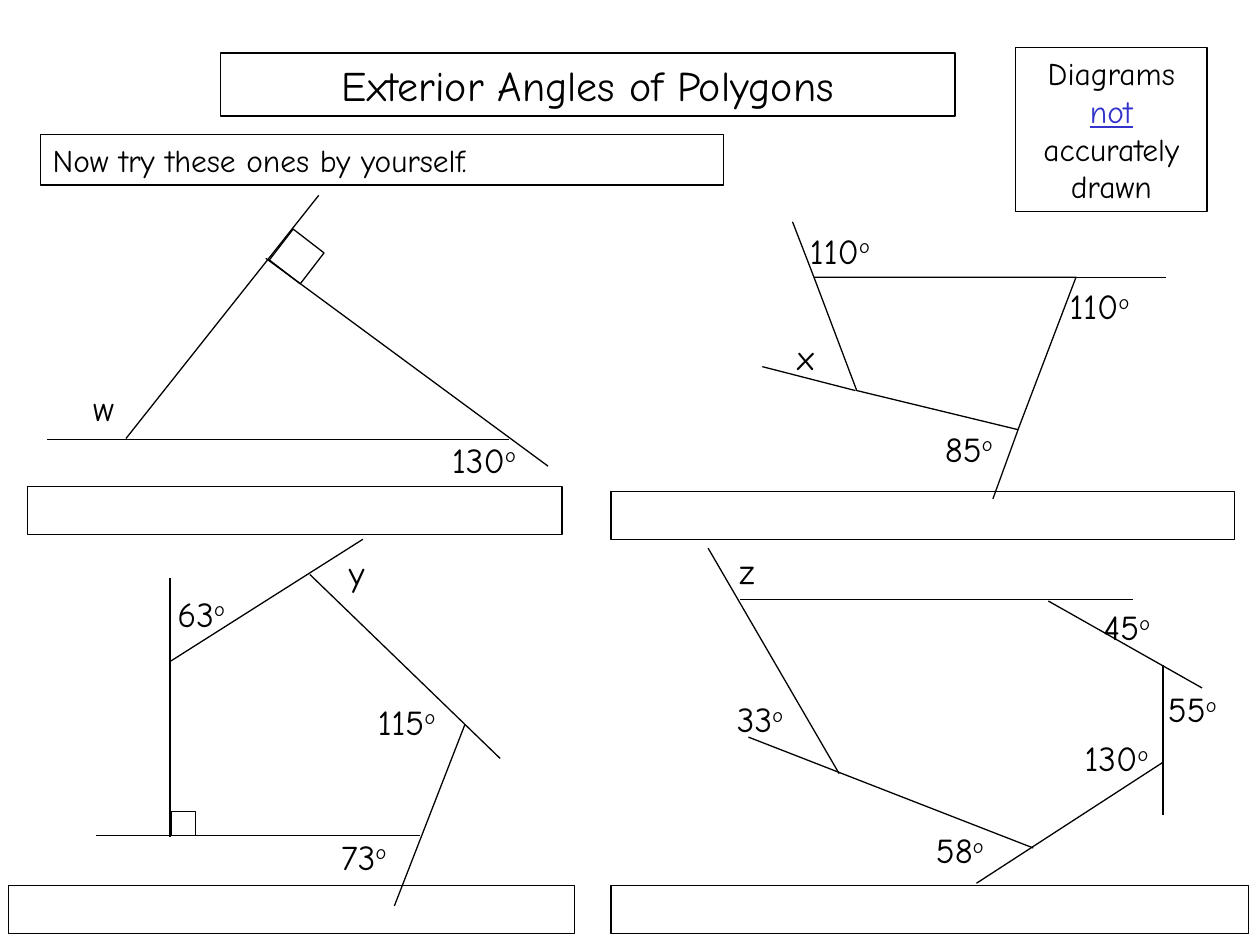
from lxml import etree
from pptx import Presentation, util as u
from pptx.dml.color import RGBColor
from pptx.enum import shapes, text
from pptx.oxml.ns import qn

COLOURS = {"ink": "000000", "stress": "3333CC"}
FONT = "Comic Neue"
CELL = u.Inches(0.1)  # the slide is a grid of 100 columns and 75 rows

deck = Presentation()
deck.slide_width, deck.slide_height = 100 * CELL, 75 * CELL
slide = deck.slides.add_slide(deck.slide_layouts[5])


def outline(shape):
    """Give a thin ink edge; closed shapes stay hollow and unshadowed."""
    shape.line.color.rgb = RGBColor.from_string(COLOURS["ink"])
    shape.line.width = u.Pt(0.75)
    if shape.shape_type != shapes.MSO_SHAPE_TYPE.LINE:
        shape.fill.background()
        shape.shadow.inherit = False


def write(shape, size, align, runs):
    """Fill a shape with (words, colour, superscript) runs."""
    frame = shape.text_frame
    frame.word_wrap = True
    frame.auto_size = text.MSO_AUTO_SIZE.NONE
    frame.vertical_anchor = text.MSO_ANCHOR.TOP
    paragraph = frame.paragraphs[0]
    paragraph.alignment = align
    for words, colour, raised in runs:
        run = paragraph.add_run()
        run.text = words
        run.font.name, run.font.size = FONT, u.Pt(size)
        run.font.color.rgb = RGBColor.from_string(COLOURS[colour])
        run.font.underline = colour == "stress"
        if raised:
            run.font._element.set("baseline", "30000")


# Heading
title = slide.shapes.title
title.left, title.top, title.width, title.height = (
    int(n * CELL) for n in (17.5, 4.2, 58.3, 5))
outline(title)
write(title, 24, text.PP_ALIGN.CENTER, [("Exterior Angles of Polygons", "ink", False)])

# Framed boxes: instruction, warning, answer spaces and right-angle marks
boxes = [
    (80.6, 3.8, 15.2, 13, 0, text.PP_ALIGN.CENTER,
     [("Diagrams ", "ink", False), ("not ", "stress", False), ("accurately drawn", "ink", False)]),
    (3.2, 10.7, 54.2, 4, 0, text.PP_ALIGN.LEFT,
     [("Now try these ones by yourself.", "ink", False)]),
    (2.2, 38.6, 42.4, 3.8, 0, None, []),
    (48.5, 39, 49.5, 3.8, 0, None, []),
    (0.7, 70.3, 44.9, 3.8, 0, None, []),
    (48.5, 70.3, 50.6, 3.8, 0, None, []),
    (22, 18.8, 3.1, 3.1, 307.6, None, []),
    (13.6, 64.4, 1.9, 1.9, 0, None, []),
]
for left, top, width, height, turn, align, runs in boxes:
    box = slide.shapes.add_shape(
        shapes.MSO_SHAPE.RECTANGLE, *(int(n * CELL) for n in (left, top, width, height)))
    box.rotation = turn
    outline(box)
    if runs:
        write(box, 18, align, runs)

# Closed quadrilateral; its extended sides are listed below
corners = [(int(x * CELL), int(y * CELL))
           for x, y in [(64.6, 22), (85.4, 22), (80.8, 34.1), (68, 31)]]
builder = slide.shapes.build_freeform(*corners[0])
builder.add_line_segments(corners[1:], close=True)
outline(builder.convert_to_shape())

polygons = {
    "triangle": {
        "sides": [(40.4, 34.9, 3.7, 34.9), (43.5, 37, 21.1, 20.5), (10, 34.8, 25.3, 15.5)],
        "angles": [("w", 6.4, 30.2), ("130", 34.9, 34.3)],
    },
    "quadrilateral": {
        "sides": [(85.3, 22, 92.5, 22), (80.8, 34.1, 78.8, 39.6),
                  (67.9, 31, 60.5, 29.1), (64.6, 22, 62.9, 17.6)],
        "angles": [("110", 63.3, 17.7), ("110", 83.9, 22.1), ("85", 74, 33.4), ("x", 62.3, 26.1)],
    },
    "pentagon": {
        "sides": [(33.3, 66.3, 7.6, 66.3), (13.5, 66.4, 13.5, 45.9), (13.5, 52.5, 28.8, 42.8),
                  (24.6, 45.6, 39.7, 60.2), (36.9, 57.5, 31.3, 71.9)],
        "angles": [("63", 13.1, 46.5), ("73", 26.1, 65.8), ("y", 26.7, 43.3), ("115", 29, 55.1)],
    },
    "hexagon": {
        "sides": [(58.7, 47.6, 89.9, 47.6), (56.2, 43.5, 66.6, 61.4), (59.4, 58.5, 82, 67.3),
                  (77.5, 70.1, 92.3, 60.5), (92.3, 64.7, 92.3, 52.8), (95.4, 54.6, 83.2, 47.7)],
        "angles": [("z", 57.7, 43.1), ("45", 86.6, 47.6), ("55", 91.7, 54.1),
                   ("130", 85.1, 58), ("58", 73.3, 65.3), ("33", 57.5, 54.9)],
    },
}
for polygon in polygons.values():
    for ends in polygon["sides"]:
        side = slide.shapes.add_connector(
            shapes.MSO_CONNECTOR.STRAIGHT, *(int(n * CELL) for n in ends))
        outline(side)
        etree.SubElement(side._element.spPr, qn("a:effectLst"))
    for angle, left, top in polygon["angles"]:
        known = angle.isdigit()
        label = slide.shapes.add_textbox(
            *(int(n * CELL) for n in (left, top, 8.3 if known else 4.8, 4.4)))
        degree = [("o", "ink", True)] if known else []
        write(label, 20, text.PP_ALIGN.LEFT, [(angle, "ink", False)] + degree)

deck.save("out.pptx")
